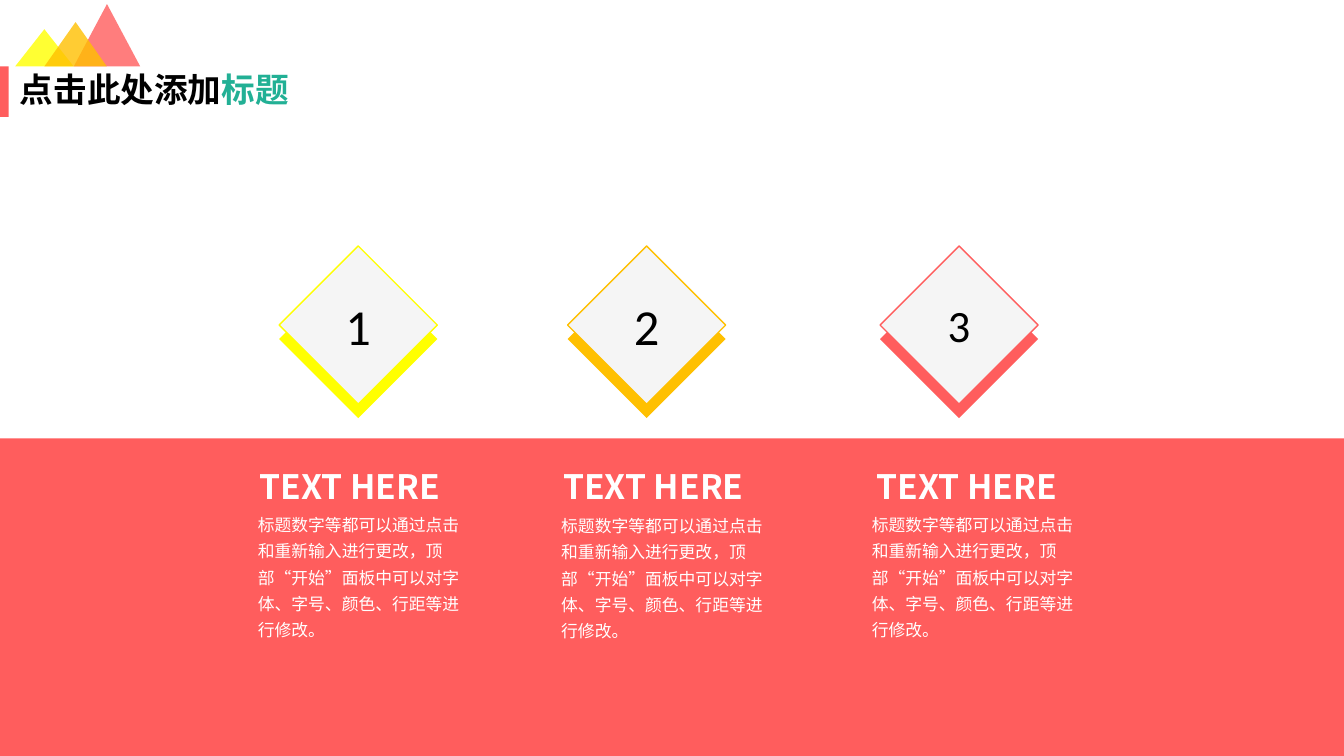
from dataclasses import dataclass
from typing import Optional

import lxml.etree
import pptx
import pptx.dml.color
import pptx.enum.shapes
import pptx.enum.text
import pptx.oxml.ns
import pptx.util

Pt = pptx.util.Pt
Preset = pptx.enum.shapes.MSO_SHAPE
Anchor = pptx.enum.text.MSO_ANCHOR
Alignment = pptx.enum.text.PP_ALIGN
AutoSize = pptx.enum.text.MSO_AUTO_SIZE

SLIDE_WIDTH, SLIDE_HEIGHT = 960, 540
CHINESE_FONT = "Noto Sans CJK SC"
NUMBER_FONT = "Calibri"
CORAL, YELLOW, AMBER, TEAL = "FF5D5D", "FFFF00", "FFC000", "22B095"
WHITE, BLACK, PALE_GREY = "FFFFFF", "000000", "F5F5F5"
BODY = "标题数字等都可以通过点击和重新输入进行更改，顶部“开始”面板中可以对字体、字号、颜色、行距等进行修改。"

BAND_TOP = 313.2
DIAMOND_SIZE, DIAMOND_TOP, DIAMOND_DROP = 113, 175.7, 10
HEADING_TOP = 329


@dataclass
class Box:
    left: float
    top: float
    width: float
    height: float

    def lengths(self) -> list:
        return [Pt(value) for value in (self.left, self.top, self.width, self.height)]


@dataclass
class Peak:
    box: Box
    color: str


@dataclass
class Card:
    number: str
    number_size: float
    color: str
    diamond_left: float
    heading_left: float
    body_left: float
    body_top: float


PEAKS = [
    Peak(Box(52.7, 2.9, 47.5, 44.6), CORAL),
    Peak(Box(10.8, 20.9, 41.8, 26.6), YELLOW),
    Peak(Box(31.7, 15.8, 44.6, 31.7), AMBER),
]
CARDS = [
    Card("1", 36, YELLOW, 199.4, 178.6, 177.1, 360),
    Card("2", 36, AMBER, 405.4, 395.3, 393.8, 360.7),
    Card("3", 32, CORAL, 628.6, 619.2, 615.6, 360),
]


def rgb(color: str) -> pptx.dml.color.RGBColor:
    return pptx.dml.color.RGBColor.from_string(color)


def add_shape(slide, preset, box: Box, fill: str, line: Optional[str] = None,
              opacity: int = 100):
    shape = slide.shapes.add_shape(preset, *box.lengths())
    shape.shadow.inherit = False
    shape.fill.solid()
    shape.fill.fore_color.rgb = rgb(fill)
    if opacity < 100:
        fill_color = shape.fill._xPr.find(".//" + pptx.oxml.ns.qn("a:srgbClr"))
        alpha = lxml.etree.SubElement(fill_color, pptx.oxml.ns.qn("a:alpha"))
        alpha.set("val", str(opacity * 1000))
    if line is None:
        shape.line.fill.background()
    else:
        shape.line.color.rgb = rgb(line)
        shape.line.width = Pt(1)
    return shape


def format_run(run, size: float, color: str, bold: bool = False,
               font_name: str = CHINESE_FONT) -> None:
    run.font.size = Pt(size)
    run.font.bold = bold
    run.font.name = font_name
    run.font.color.rgb = rgb(color)
    # East Asian characters take their own typeface element
    east_asian = lxml.etree.Element(pptx.oxml.ns.qn("a:ea"), typeface=font_name)
    run.font._element.find(pptx.oxml.ns.qn("a:latin")).addnext(east_asian)


def add_text(slide, box: Box, text: str, size: float, color: str, bold: bool = False,
             wrap: bool = True, line_spacing: float = 1.0):
    shape = slide.shapes.add_textbox(*box.lengths())
    text_frame = shape.text_frame
    text_frame.text = text
    text_frame.word_wrap = wrap
    text_frame.auto_size = AutoSize.SHAPE_TO_FIT_TEXT
    paragraph = text_frame.paragraphs[0]
    paragraph.line_spacing = line_spacing
    format_run(paragraph.runs[0], size, color, bold)
    return shape


def add_title(slide) -> None:
    shape = add_text(slide, Box(7.2, 49, 218.9, 33.1), "点击此处添加", 24, BLACK,
                     bold=True, line_spacing=0.9)
    shape.text_frame.auto_size = AutoSize.NONE
    shape.text_frame.vertical_anchor = Anchor.MIDDLE
    accent = shape.text_frame.paragraphs[0].add_run()
    accent.text = "标题"
    format_run(accent, 24, TEAL, bold=True)


def add_card(slide, card: Card) -> None:
    # Numbered diamond over its coloured base
    face_box = Box(card.diamond_left, DIAMOND_TOP, DIAMOND_SIZE, DIAMOND_SIZE)
    base_box = Box(card.diamond_left, DIAMOND_TOP + DIAMOND_DROP, DIAMOND_SIZE, DIAMOND_SIZE)
    add_shape(slide, Preset.DIAMOND, base_box, card.color)
    face = add_shape(slide, Preset.DIAMOND, face_box, PALE_GREY, line=card.color)
    face.text_frame.text = card.number
    face.text_frame.vertical_anchor = Anchor.MIDDLE
    paragraph = face.text_frame.paragraphs[0]
    paragraph.alignment = Alignment.CENTER
    format_run(paragraph.runs[0], card.number_size, BLACK, font_name=NUMBER_FONT)

    # Heading and description
    add_text(slide, Box(card.heading_left, HEADING_TOP, 148.3, 36), "TEXT HERE", 24, WHITE,
             bold=True, wrap=False)
    add_text(slide, Box(card.body_left, card.body_top, 169.2, 101.5), BODY, 12, WHITE,
             line_spacing=1.3)


def main() -> None:
    presentation = pptx.Presentation()
    presentation.slide_width = Pt(SLIDE_WIDTH)
    presentation.slide_height = Pt(SLIDE_HEIGHT)
    slide = presentation.slides.add_slide(presentation.slide_layouts[6])

    # Title marker and lower band
    add_shape(slide, Preset.RECTANGLE, Box(0, 47.5, 6.3, 36), CORAL)
    add_shape(slide, Preset.RECTANGLE,
              Box(0, BAND_TOP, SLIDE_WIDTH, SLIDE_HEIGHT - BAND_TOP), CORAL)

    # Translucent peaks above the title
    for peak in PEAKS:
        add_shape(slide, Preset.ISOSCELES_TRIANGLE, peak.box, peak.color, opacity=80)
    add_title(slide)

    # Three numbered cards
    for card in CARDS:
        add_card(slide, card)

    presentation.save("out.pptx")


if __name__ == "__main__":
    main()
